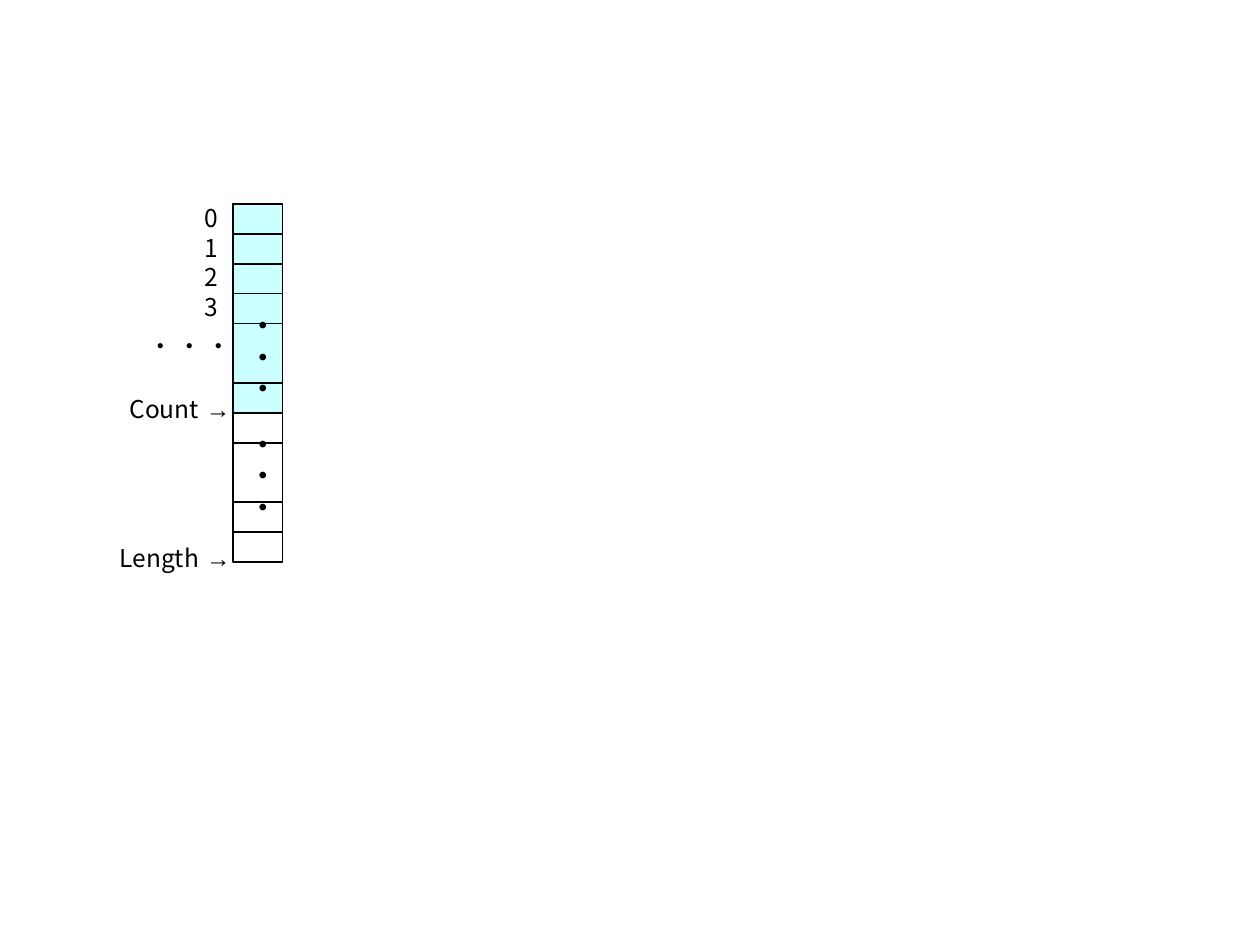
from pptx import Presentation
from pptx import util as u
from pptx.dml.color import RGBColor
from pptx.enum import shapes, text
from pptx.oxml.ns import qn
from lxml import etree

LATIN, LABEL = "Arial", "Noto Sans CJK JP"
BLACK, WHITE, USED = "000000", "FFFFFF", "CCFFFF"
LEFT, TOP, WIDTH, ROW = 133.2, 116.7, 28.3, 17.03
ROWS, USED_ROWS = 12, 7
DIVIDERS = [1, 2, 3, 4, 6, 7, 8, 10, 11]
INDICES = ["0", "1", "2", "3"]
# name, row boundary, left, width
POINTERS = [("Count", 7, 71.3, 60.5), ("Length", 12, 63.4, 68.4)]
DOTS = "・・・"
# left, top, width, height, size, wrap
DOT_BOXES = [
    (139, 177.1, 21.6, 54, 18, False),
    (139, 244.8, 21.6, 54, 18, False),
    (82.8, 190.8, 50.4, 20.9, 14, True),
]


def color(value):
    """Turn a hex string into a colour."""
    return RGBColor.from_string(value)


def add_block(slide, rows, fill):
    """Draw an outlined block that covers the first rows of the array."""
    block = slide.shapes.add_shape(
        shapes.MSO_SHAPE.RECTANGLE, u.Pt(LEFT), u.Pt(TOP), u.Pt(WIDTH), u.Pt(rows * ROW))
    block.shadow.inherit = False
    block.fill.solid()
    block.fill.fore_color.rgb = color(fill)
    block.line.color.rgb = color(BLACK)
    block.line.width = u.Pt(1)


def add_divider(slide, row):
    """Draw the line at the top of a row."""
    y = u.Pt(TOP + row * ROW)
    line = slide.shapes.add_connector(
        shapes.MSO_CONNECTOR.STRAIGHT, u.Pt(LEFT), y, u.Pt(LEFT + WIDTH), y)
    line.line.color.rgb = color(BLACK)
    line.line.width = u.Pt(1)
    etree.SubElement(line._element.spPr, qn("a:effectLst"))


def add_text(slide, box, runs, size, align=None, wrap=False, vertical=False):
    """Add a text box without margins, from (text, font) runs."""
    shape = slide.shapes.add_textbox(*map(u.Pt, box))
    frame = shape.text_frame
    frame.margin_left = frame.margin_top = frame.margin_right = frame.margin_bottom = 0
    frame.word_wrap = wrap
    frame.auto_size = text.MSO_AUTO_SIZE.SHAPE_TO_FIT_TEXT
    if vertical:
        frame._txBody.bodyPr.set("vert", "eaVert")
    paragraph = frame.paragraphs[0]
    paragraph.alignment = align
    for words, font in runs:
        run = paragraph.add_run()
        run.text = words
        run.font.size = u.Pt(size)
        run.font.name = font
        run.font.color.rgb = color(BLACK)
        etree.SubElement(run.font._element, qn("a:ea"), typeface=font)


presentation = Presentation()
presentation.slide_width, presentation.slide_height = u.Pt(720), u.Pt(540)
slide = presentation.slides.add_slide(presentation.slide_layouts[6])

add_block(slide, ROWS, WHITE)
add_block(slide, USED_ROWS, USED)
for row in DIVIDERS:
    add_divider(slide, row)
for row, index in enumerate(INDICES):
    add_text(slide, (115.9, TOP - 0.8 + row * ROW, 8.6, 16.6), [(index, LABEL)], 14,
             text.PP_ALIGN.RIGHT)
for name, row, left, width in POINTERS:
    add_text(slide, (left, TOP - 10.5 + row * ROW, width, 16.6),
             [(name, LABEL), (" →", LATIN)], 14, text.PP_ALIGN.RIGHT)
for *box, size, wrap in DOT_BOXES:
    add_text(slide, box, [(DOTS, LATIN)], size, wrap=wrap, vertical=True)

presentation.save("out.pptx")
